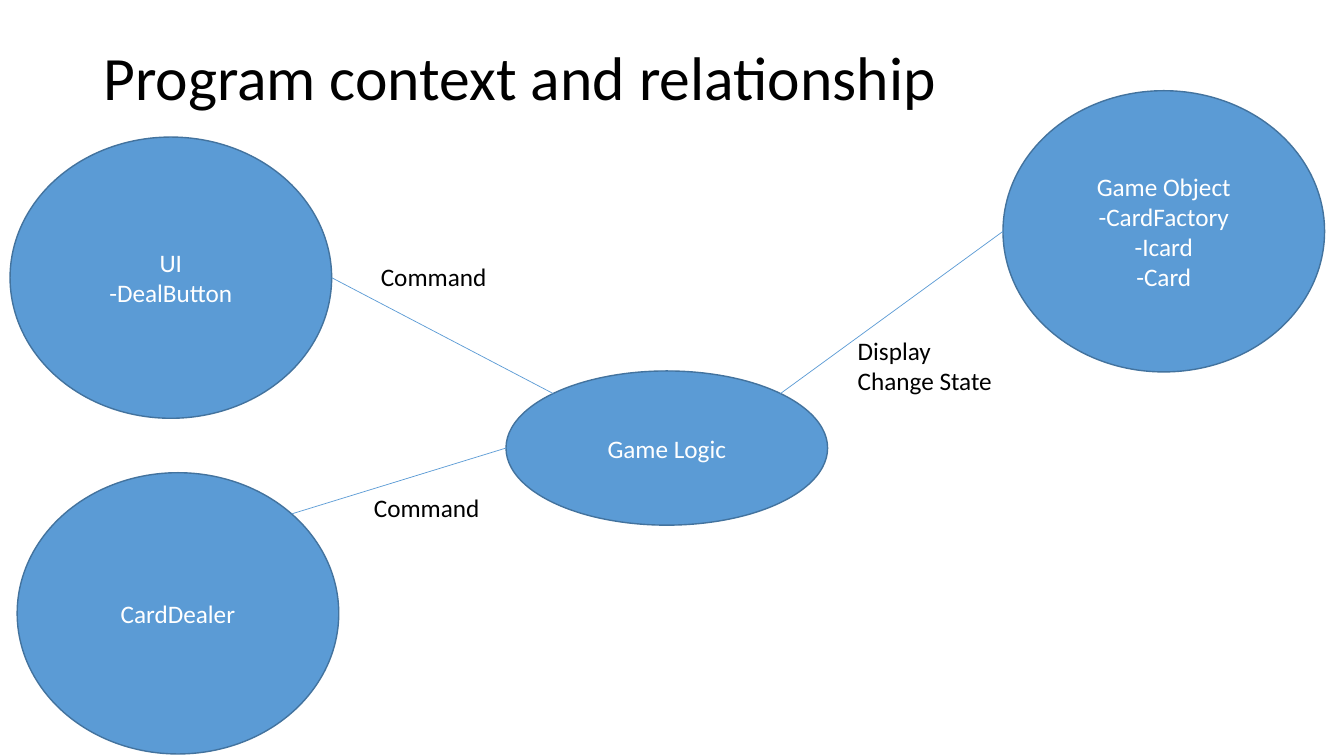
from dataclasses import dataclass
from math import cos, radians, sin

from lxml.etree import SubElement
from pptx import Presentation
from pptx.dml.color import RGBColor
from pptx.enum.shapes import MSO_CONNECTOR, MSO_SHAPE
from pptx.enum.text import MSO_ANCHOR, MSO_AUTO_SIZE, PP_ALIGN
from pptx.oxml.ns import qn
from pptx.util import Inches, Pt


@dataclass(frozen=True)
class Theme:
    font: str = "Calibri"
    fill: RGBColor = RGBColor(0x5B, 0x9B, 0xD5)
    outline: RGBColor = RGBColor(0x43, 0x73, 0x9E)
    light: RGBColor = RGBColor(0xFF, 0xFF, 0xFF)
    dark: RGBColor = RGBColor(0, 0, 0)
    title_size: int = 44
    body_size: int = 18


def write(tf, text, *, font, size, color, align=PP_ALIGN.LEFT,
          anchor=MSO_ANCHOR.TOP, wrap=True, spacing=None):
    """Put each line of text in a paragraph of its own."""
    tf.word_wrap = wrap
    tf.vertical_anchor = anchor
    for i, line in enumerate(text.split("\n")):
        p = tf.paragraphs[0] if i == 0 else tf.add_paragraph()
        p.alignment = align
        p.line_spacing = spacing
        r = p.add_run()
        r.text = line
        r.font.name = font
        r.font.size = Pt(size)
        r.font.color.rgb = color


class Diagram:
    """Style and current slide; lengths are percentages of the slide's size."""

    def __init__(self, prs, theme):
        self.prs, self.theme = prs, theme
        self.s = prs.slides.add_slide(prs.slide_layouts[6])

    def box(self, x, y, w, h):
        width, height = self.prs.slide_width, self.prs.slide_height
        return [round(share * full / 100) for share, full in
                ((x, width), (y, height), (w, width), (h, height))]

    def title(self, text, *area):
        t = self.theme
        sp = self.s.shapes.add_textbox(*self.box(*area))
        write(sp.text_frame, text, font=t.font, size=t.title_size,
              color=t.dark, anchor=MSO_ANCHOR.MIDDLE, spacing=0.9)

    def node(self, text, *area):
        t = self.theme
        sp = self.s.shapes.add_shape(MSO_SHAPE.OVAL, *self.box(*area))
        sp.shadow.inherit = False
        sp.fill.solid()
        sp.fill.fore_color.rgb = t.fill
        sp.line.color.rgb = t.outline
        sp.line.width = Pt(1)
        write(sp.text_frame, text, font=t.font, size=t.body_size,
              color=t.light, align=PP_ALIGN.CENTER, anchor=MSO_ANCHOR.MIDDLE)
        return sp

    def label(self, text, *area):
        t = self.theme
        sp = self.s.shapes.add_textbox(*self.box(*area))
        write(sp.text_frame, text, font=t.font, size=t.body_size,
              color=t.dark, wrap=False)
        sp.text_frame.auto_size = MSO_AUTO_SIZE.SHAPE_TO_FIT_TEXT

    def rim(self, sp, angle):
        """Point on an ellipse's rim, in degrees clockwise from the right."""
        a = radians(angle)
        return (round(sp.left + sp.width / 2 * (1 + cos(a))),
                round(sp.top + sp.height / 2 * (1 + sin(a))))

    def link(self, start, start_angle, end, end_angle):
        cx = self.s.shapes.add_connector(
            MSO_CONNECTOR.STRAIGHT,
            *self.rim(start, start_angle), *self.rim(end, end_angle))
        cx.line.color.rgb = self.theme.fill
        cx.line.width = Pt(0.5)
        SubElement(cx._element.spPr, qn("a:effectLst"))


prs = Presentation()
prs.slide_width, prs.slide_height = Inches(13.33), Inches(7.5)
d = Diagram(prs, Theme())

# Program parts
NODE_W, NODE_H = 23.93, 37.2
logic = d.node("Game Logic", 37.65, 49.07, NODE_W, 20.4)
ui = d.node("UI\n-DealButton", 0.75, 18.13, NODE_W, NODE_H)
objects = d.node("Game Object\n-CardFactory\n-Icard\n-Card",
                 74.63, 12, NODE_W, NODE_H)
dealer = d.node("CardDealer", 1.28, 62.53, NODE_W, NODE_H)

# Relationships
d.link(ui, 0, logic, 225)
d.link(logic, 315, objects, 180)
d.link(dealer, 315, logic, 180)

# Relationship labels
for x, y in ((27.6, 33.87), (27.08, 64.4)):
    d.label("Command", x, y, 9.45, 5.33)
d.label("Display\nChange State", 63.08, 43.73, 11.63, 9.47)

# Title
d.title("Program context and relationship", 6.95, 0.93, 86.25, 19.33)

prs.save("out.pptx")
